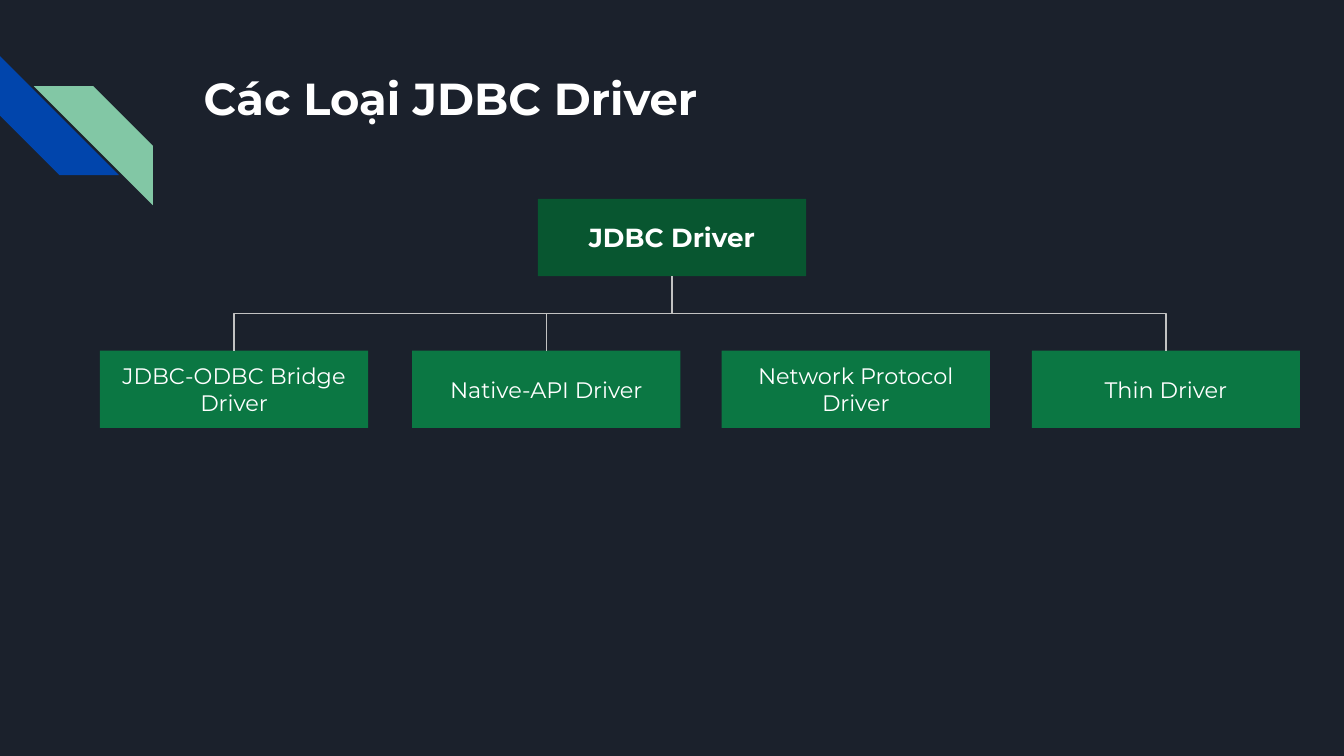
"""Build a slide with a tree of the JDBC driver types."""
from dataclasses import dataclass

from lxml import etree
from pptx import Presentation
from pptx.dml.color import RGBColor
from pptx.enum import shapes, text
from pptx.oxml import ns
from pptx.util import Cm, Pt

FONT = "Montserrat"
WHITE, LINE = "FFFFFF", "C2C2C2"
NAVY, BLUE, MINT = "1B212C", "0145AC", "82C7A5"
DARK_GREEN, GREEN = "085630", "0B7743"
BOX_WIDTH, BOX_HEIGHT = 5.07, 1.46
ROOT_TOP, DRIVER_TOP = 3.76, 6.63
STRIPE_SIZE = 2.25


@dataclass
class Stripe:
    left: float
    top: float
    rotation: int
    color: str


@dataclass
class Driver:
    label: str
    left: float
    linked: bool = True


STRIPES = [Stripe(0, 1.06, 270, BLUE), Stripe(0.64, 1.63, 90, MINT)]
DRIVERS = [
    Driver("JDBC-ODBC Bridge Driver", 1.89),
    Driver("Native-API Driver", 7.79),
    Driver("Network Protocol Driver", 13.64, linked=False),
    Driver("Thin Driver", 19.5),
]


def paint(color_format, color: str) -> None:
    color_format.rgb = RGBColor.from_string(color)


def write(shape, content: str, *, size: float, bold: bool = False,
          align=text.PP_ALIGN.CENTER, anchor=text.MSO_ANCHOR.MIDDLE) -> None:
    frame = shape.text_frame
    frame.word_wrap = True
    frame.auto_size = text.MSO_AUTO_SIZE.NONE
    frame.vertical_anchor = anchor
    frame.margin_left = frame.margin_right = Cm(0.25)
    frame.margin_top = frame.margin_bottom = Cm(0.25)
    paragraph = frame.paragraphs[0]
    paragraph.alignment = align
    paragraph.line_spacing = 1.0
    paragraph.space_before = Pt(0)
    run = paragraph.add_run()
    run.text = content
    run.font.name, run.font.size, run.font.bold = FONT, Pt(size), bold
    paint(run.font.color, WHITE)


def add_filled(slide, kind, left: float, top: float, width: float,
               height: float, color: str):
    shape = slide.shapes.add_shape(kind, Cm(left), Cm(top), Cm(width), Cm(height))
    shape.shadow.inherit = False
    shape.fill.solid()
    paint(shape.fill.fore_color, color)
    shape.line.fill.background()
    return shape


def add_stripe(slide, stripe: Stripe) -> None:
    shape = add_filled(slide, shapes.MSO_SHAPE.DIAGONAL_STRIPE, stripe.left,
                       stripe.top, STRIPE_SIZE, STRIPE_SIZE, stripe.color)
    shape.rotation = stripe.rotation


def add_box(slide, label: str, left: float, top: float, color: str,
            size: float, bold: bool = False):
    box = add_filled(slide, shapes.MSO_SHAPE.RECTANGLE, left, top,
                     BOX_WIDTH, BOX_HEIGHT, color)
    write(box, label, size=size, bold=bold)
    return box


def link(slide, parent, child) -> None:
    """Join two boxes by an elbow turned to leave the parent downwards."""
    connector = slide.shapes.add_connector(shapes.MSO_CONNECTOR.ELBOW, 0, 0, 0, 0)
    connector.begin_connect(parent, 2)
    connector.end_connect(child, 0)
    start_x = parent.left + parent.width // 2
    end_x = child.left + child.width // 2
    start_y = parent.top + parent.height
    drop, reach = child.top - start_y, abs(end_x - start_x)
    connector.width, connector.height = drop, reach
    connector.left = (start_x + end_x - drop) // 2
    connector.top = (start_y + child.top - reach) // 2
    to_right = end_x > start_x
    properties = connector._element.spPr
    frame = properties.find(ns.qn("a:xfrm"))
    frame.set("rot", str((270 if to_right else 90) * 60000))
    frame.set("flipH", str(int(to_right)))
    frame.set("flipV", "0")
    connector.line.width = Pt(0.75)
    paint(connector.line.color, LINE)
    etree.SubElement(properties, ns.qn("a:effectLst"))


def main() -> None:
    presentation = Presentation()
    presentation.slide_width, presentation.slide_height = Cm(25.4), Cm(14.29)
    slide = presentation.slides.add_slide(presentation.slide_layouts[5])
    slide.background.fill.solid()
    paint(slide.background.fill.fore_color, NAVY)
    for stripe in STRIPES:
        add_stripe(slide, stripe)
    title = slide.shapes.title
    title.left, title.top, title.width, title.height = Cm(3.6), Cm(1.09), Cm(19.56), Cm(2.54)
    write(title, "Các Loại JDBC Driver", size=24, bold=True,
          align=text.PP_ALIGN.LEFT, anchor=text.MSO_ANCHOR.TOP)
    root = add_box(slide, "JDBC Driver", (25.4 - BOX_WIDTH) / 2, ROOT_TOP,
                   DARK_GREEN, 14, bold=True)
    for driver in DRIVERS:
        box = add_box(slide, driver.label, driver.left, DRIVER_TOP, GREEN, 12)
        if driver.linked:
            link(slide, root, box)
    presentation.save("out.pptx")


if __name__ == "__main__":
    main()
